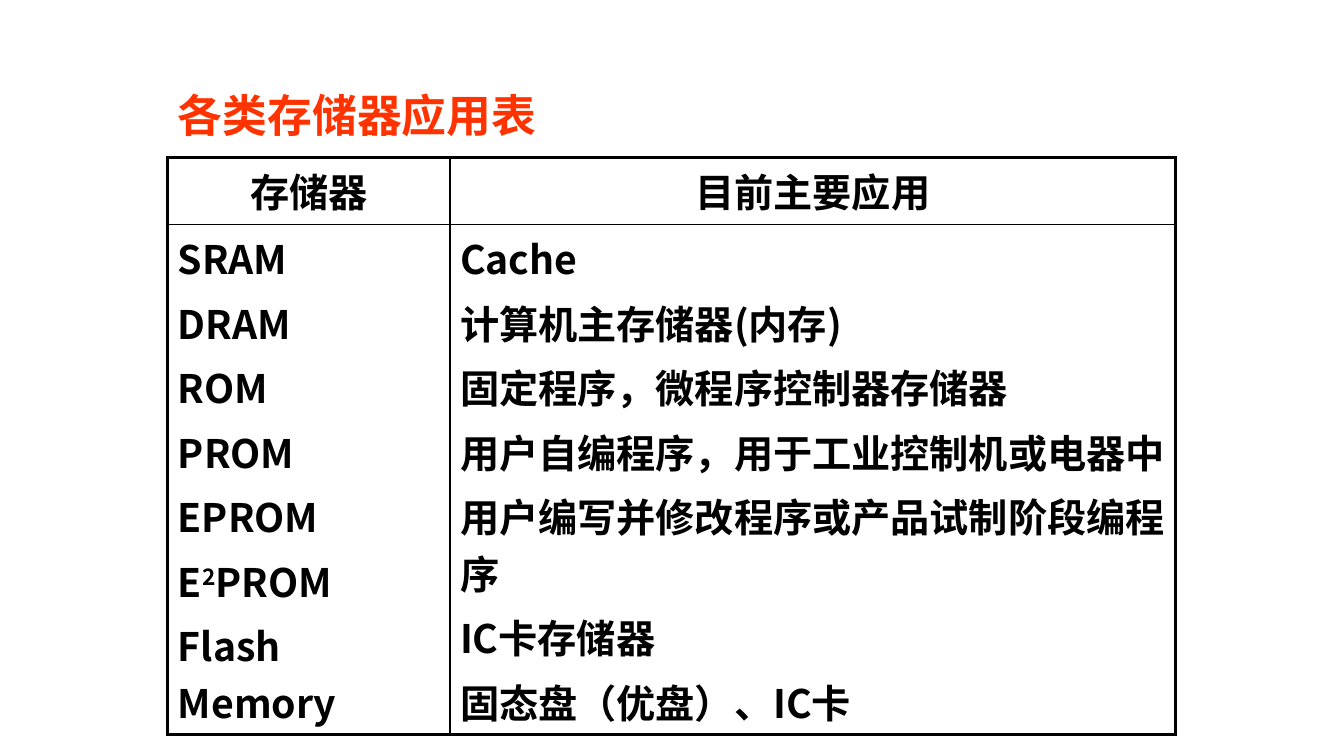
from lxml.etree import SubElement
from pptx import Presentation
from pptx.dml.color import RGBColor
from pptx.enum.text import MSO_ANCHOR, PP_ALIGN
from pptx.oxml.ns import qn
from pptx.util import Cm, Pt

COLORS = {"title": "FF3300", "ink": "000000"}
FONT = "Noto Sans CJK SC"
HEADINGS = ["存储器", "目前主要应用"]
MEMORIES = ["SRAM", "DRAM", "ROM", "PROM", "EPROM", "E^2^PROM", "Flash Memory"]
USES = [
    "Cache",
    "计算机主存储器(内存)",
    "固定程序，微程序控制器存储器",
    "用户自编程序，用于工业控制机或电器中",
    "用户编写并修改程序或产品试制阶段编程序",
    "IC卡存储器",
    "固态盘（优盘）、IC卡",
]
COLUMN_WIDTHS = [7.11, 18.29]
ROW_HEIGHTS = [1.19, 7.8]
OUTER, INNER = 2.25, 1


def apply(target, values):
    for name, value in values.items():
        setattr(target, name, value)


class MemorySlide:
    def __init__(self, presentation):
        self.slide = presentation.slides.add_slide(presentation.slide_layouts[5])

    def add_text(self, paragraph, text, size, color):
        """Fill a paragraph; parts between ^ marks become superscript."""
        for index, part in enumerate(text.split("^")):
            run = paragraph.add_run()
            run.text = part
            apply(run.font, {"name": FONT, "size": Pt(size), "bold": True})
            run.font.color.rgb = RGBColor.from_string(COLORS[color])
            properties = run._r.get_or_add_rPr()
            SubElement(properties, qn("a:ea"), typeface=FONT)
            if index % 2:
                properties.set("baseline", "30000")

    def title(self, text, left, top, width, height):
        title = self.slide.shapes.title
        apply(title, {"left": Cm(left), "top": Cm(top),
                      "width": Cm(width), "height": Cm(height)})
        apply(title.text_frame, {"vertical_anchor": MSO_ANCHOR.MIDDLE,
                                 "word_wrap": True})
        heading = title.text_frame.paragraphs[0]
        apply(heading, {"alignment": PP_ALIGN.LEFT, "line_spacing": 0.9})
        self.add_text(heading, text, 32, "title")

    def border(self, cell, widths):
        properties = cell._tc.get_or_add_tcPr()
        for side, width in widths.items():
            line = SubElement(properties, qn(f"a:ln{side}"), w=str(int(Pt(width))))
            fill = SubElement(line, qn("a:solidFill"))
            SubElement(fill, qn("a:srgbClr"), val=COLORS["ink"])

    def cell(self, cell, lines, alignment):
        frame = cell.text_frame
        for index, line in enumerate(lines):
            paragraph = frame.add_paragraph() if index else frame.paragraphs[0]
            apply(paragraph, {"alignment": alignment,
                              "space_before": Pt(5.6 if index else 0)})
            self.add_text(paragraph, line, 28, "ink")

    def table(self, rows, left, top):
        table = self.slide.shapes.add_table(
            len(rows), len(COLUMN_WIDTHS), Cm(left), Cm(top),
            Cm(sum(COLUMN_WIDTHS)), Cm(sum(ROW_HEIGHTS))).table
        apply(table, {"first_row": False, "horz_banding": False})
        for column, width in zip(table.columns, COLUMN_WIDTHS):
            column.width = Cm(width)
        for row, height in zip(table.rows, ROW_HEIGHTS):
            row.height = Cm(height)
        last_row, last_column = len(rows) - 1, len(COLUMN_WIDTHS) - 1
        for r, row in enumerate(rows):
            for c, lines in enumerate(row):
                cell = table.cell(r, c)
                self.cell(cell, lines, PP_ALIGN.LEFT if r else PP_ALIGN.CENTER)
                self.border(cell, {"L": INNER if c else OUTER,
                                   "R": OUTER if c == last_column else INNER,
                                   "T": INNER if r else OUTER,
                                   "B": OUTER if r == last_row else INNER})
                cell.fill.background()


def main():
    presentation = Presentation()
    apply(presentation, {"slide_width": Cm(33.87), "slide_height": Cm(19.05)})
    memory_slide = MemorySlide(presentation)
    memory_slide.title("各类存储器应用表", 4.23, 2, 22.86, 1.96)
    memory_slide.table([[[heading] for heading in HEADINGS], [MEMORIES, USES]],
                       4.23, 3.97)
    presentation.save("out.pptx")


if __name__ == "__main__":
    main()
